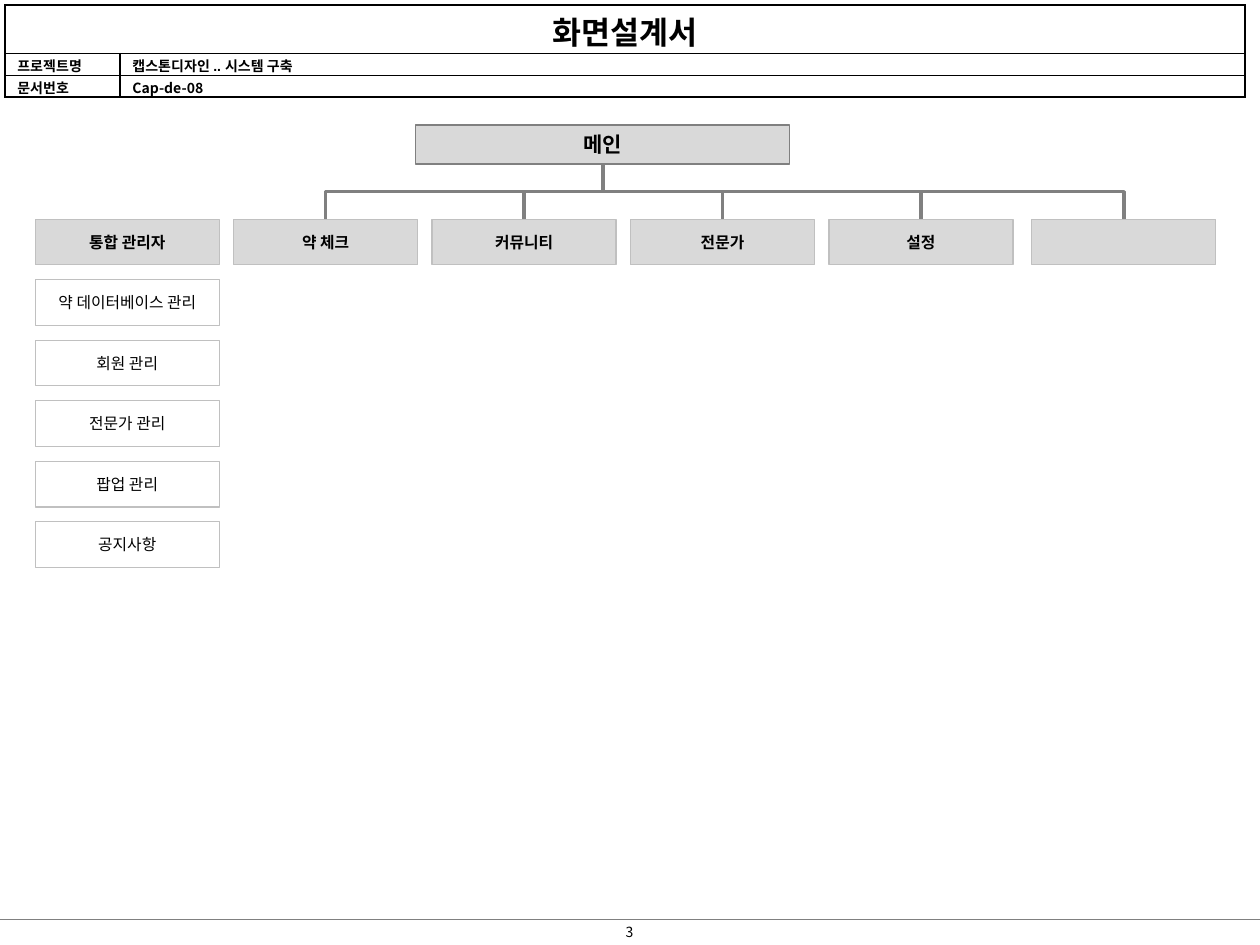
"""Build the sitemap slide of a screen design document."""
from dataclasses import dataclass

from lxml import etree
from pptx import Presentation
from pptx import util as u
from pptx.dml.color import RGBColor
from pptx.enum import shapes, text
from pptx.oxml.ns import qn

BLACK = RGBColor(0x00, 0x00, 0x00)
WHITE = RGBColor(0xFF, 0xFF, 0xFF)
LIGHT_GRAY = RGBColor(0xD9, 0xD9, 0xD9)
SILVER = RGBColor(0xC0, 0xC0, 0xC0)
GRAY = RGBColor(0x80, 0x80, 0x80)
KOREAN_FONT = "Noto Sans CJK KR"
LATIN_FONT = "Arial"

COLUMN_LEFT, COLUMN_STEP, LAST_COLUMN_LEFT = 0.71, 4.0, 20.8
ROW_TOP, ROW_STEP = 4.42, 1.22
BOX_WIDTH, BOX_HEIGHT = 3.71, 0.92
MENU_LABELS = ["통합 관리자", "약 체크", "커뮤니티", "전문가", "설정", ""]
ADMIN_LABELS = ["약 데이터베이스 관리", "회원 관리", "전문가 관리", "팝업 관리", "공지사항"]


@dataclass
class Box:
    label: str
    left: float
    top: float
    width: float = BOX_WIDTH
    height: float = BOX_HEIGHT
    fill: RGBColor = LIGHT_GRAY
    line: RGBColor = SILVER
    size: float = 9
    bold: bool = True


@dataclass
class HeaderCell:
    row: int
    column: int
    label: str
    font: str = LATIN_FONT
    size: float = 8
    alignment: text.PP_ALIGN = text.PP_ALIGN.LEFT


HEADER_CELLS = [
    HeaderCell(0, 0, "화면설계서", KOREAN_FONT, 18, text.PP_ALIGN.CENTER),
    HeaderCell(1, 0, "프로젝트명"),
    HeaderCell(1, 1, "캡스톤디자인 .. 시스템 구축"),
    HeaderCell(2, 0, "문서번호"),
    HeaderCell(2, 1, "Cap-de-08", KOREAN_FONT),
]


def set_attributes(target, values: dict) -> None:
    """Set every named value on the target."""
    for name, value in values.items():
        setattr(target, name, value)


def write_text(frame, label: str, size: float, bold: bool, font: str = KOREAN_FONT,
               alignment: text.PP_ALIGN = text.PP_ALIGN.CENTER) -> None:
    """Write one formatted line into a text frame."""
    paragraph = frame.paragraphs[0]
    paragraph.alignment = alignment
    run = paragraph.add_run()
    run.text = label
    set_attributes(run.font, {"size": u.Pt(size), "bold": bold, "name": font})
    run.font.color.rgb = BLACK
    east_asian = etree.SubElement(run.font._element, qn("a:ea"))
    east_asian.set("typeface", KOREAN_FONT)


def draw_box(slide, box: Box):
    """Draw a labelled rectangle and return it."""
    shape = slide.shapes.add_shape(
        shapes.MSO_SHAPE.RECTANGLE,
        *map(u.Cm, (box.left, box.top, box.width, box.height)))
    shape.shadow.inherit = False
    shape.fill.solid()
    shape.fill.fore_color.rgb = box.fill
    shape.line.color.rgb = box.line
    shape.line.width = u.Pt(0.75)
    set_attributes(shape.text_frame, {
        "word_wrap": False, "vertical_anchor": text.MSO_ANCHOR.MIDDLE})
    if box.label:
        write_text(shape.text_frame, box.label, box.size, box.bold)
    return shape


def style_connector(connector, width: float) -> None:
    """Give a connector a gray line without a shadow."""
    connector.line.color.rgb = GRAY
    connector.line.width = u.Pt(width)
    etree.SubElement(connector._element.spPr, qn("a:effectLst"))


def join_boxes(slide, parent, child) -> None:
    """Join a parent's bottom to a child's top with an elbow."""
    start_x, start_y = parent.left + parent.width // 2, parent.top + parent.height
    end_x, end_y = child.left + child.width // 2, child.top
    connector = slide.shapes.add_connector(
        shapes.MSO_CONNECTOR.ELBOW, start_x, start_y, end_x, end_y)
    connector.begin_connect(parent, 2)
    connector.end_connect(child, 0)
    drop, reach = end_y - start_y, abs(end_x - start_x)
    goes_right = end_x > start_x
    frame = connector._element.spPr.find(qn("a:xfrm"))
    frame.attrib.clear()
    frame.set("rot", str((270 if goes_right else 90) * 60000))
    if goes_right:
        frame.set("flipH", "1")
    set_attributes(connector, {
        "left": (start_x + end_x - drop) // 2,
        "top": (start_y + end_y - reach) // 2,
        "width": drop, "height": reach})
    style_connector(connector, 2)


def add_borders(cell) -> None:
    """Draw black borders on all four sides of a cell."""
    properties = cell._tc.get_or_add_tcPr()
    for index, side in enumerate(("lnL", "lnR", "lnT", "lnB")):
        border = etree.Element(qn(f"a:{side}"), w=str(u.Pt(1)))
        fill = etree.SubElement(border, qn("a:solidFill"))
        etree.SubElement(fill, qn("a:srgbClr"), val=str(BLACK))
        properties.insert(index, border)


def draw_header(slide) -> None:
    """Draw the document header table."""
    widths, heights = (2.32, 22.68), (0.98, 0.44, 0.44)
    table = slide.shapes.add_table(
        len(heights), len(widths),
        *map(u.Cm, (0.1, 0.1, sum(widths), sum(heights)))).table
    set_attributes(table, {"first_row": False, "horz_banding": False})
    for column, width in zip(table.columns, widths):
        column.width = u.Cm(width)
    for row, height in zip(table.rows, heights):
        row.height = u.Cm(height)
    table.cell(0, 0).merge(table.cell(0, 1))
    for cell in table.iter_cells():
        set_attributes(cell, {
            "margin_left": u.Cm(0.25), "margin_right": u.Cm(0.25),
            "margin_top": 0, "margin_bottom": 0,
            "vertical_anchor": text.MSO_ANCHOR.BOTTOM})
        cell.fill.solid()
        cell.fill.fore_color.rgb = WHITE
        add_borders(cell)
    for item in HEADER_CELLS:
        write_text(table.cell(item.row, item.column).text_frame, item.label,
                   item.size, True, item.font, item.alignment)


def draw_footer(slide) -> None:
    """Draw the footer rule and the page number."""
    rule = slide.shapes.add_connector(
        shapes.MSO_CONNECTOR.STRAIGHT, 0, u.Cm(18.54), u.Cm(25.4), u.Cm(18.54))
    style_connector(rule, 0.75)
    number = slide.shapes.add_textbox(*map(u.Cm, (11.99, 18.49, 1.4, 0.61)))
    number.text_frame.word_wrap = True
    write_text(number.text_frame, "3", 8, False)


def main() -> None:
    """Build and save the presentation."""
    presentation = Presentation()
    set_attributes(presentation, {"slide_width": u.Cm(25.4), "slide_height": u.Cm(19.05)})
    slide = presentation.slides.add_slide(presentation.slide_layouts[6])
    draw_footer(slide)
    draw_header(slide)

    main_box = draw_box(slide, Box("메인", 8.38, 2.52, 7.54, 0.79, line=GRAY, size=12))
    lefts = [COLUMN_LEFT + COLUMN_STEP * index for index in range(len(MENU_LABELS) - 1)]
    menu = [draw_box(slide, Box(label, left, ROW_TOP))
            for label, left in zip(MENU_LABELS, lefts + [LAST_COLUMN_LEFT])]
    for child in menu[1:]:
        join_boxes(slide, main_box, child)
    for index, label in enumerate(ADMIN_LABELS, start=1):
        draw_box(slide, Box(label, COLUMN_LEFT, ROW_TOP + ROW_STEP * index,
                            fill=WHITE, bold=False))
    presentation.save("out.pptx")


if __name__ == "__main__":
    main()
